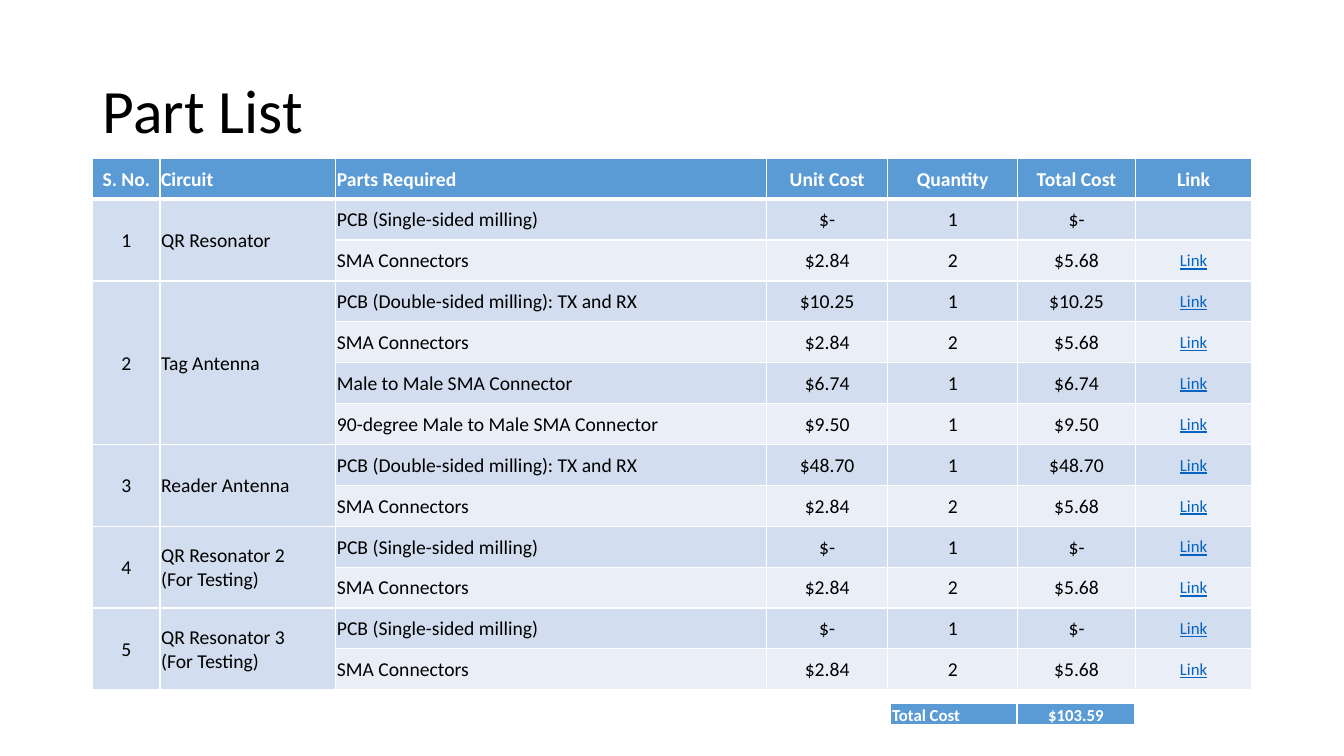
from dataclasses import dataclass

from lxml import etree
from pptx import Presentation
from pptx.dml.color import RGBColor
from pptx.enum.text import MSO_ANCHOR, PP_ALIGN
from pptx.oxml.ns import qn
from pptx.util import Cm, Pt

LEFT, CENTER = PP_ALIGN.LEFT, PP_ALIGN.CENTER
MIDDLE, BOTTOM = MSO_ANCHOR.MIDDLE, MSO_ANCHOR.BOTTOM

FONT = "Calibri"
BLACK, WHITE = "000000", "FFFFFF"
HEADER_FILL, LINK_COLOR = "5B9BD5", "0563C1"
DARK_BAND, LIGHT_BAND = "D2DEEF", "EAEFF7"

HEADINGS = ["S. No.", "Circuit", "Parts Required", "Unit Cost", "Quantity", "Total Cost", "Link"]
COLUMN_WIDTHS = [1.69, 4.43, 10.86, 3.05, 3.28, 2.96, 2.94]
ALIGNMENTS = [CENTER, LEFT, LEFT, CENTER, CENTER, CENTER, CENTER]
LINK_COLUMN = HEADINGS.index("Link")
HEADER_BORDERS = {"lnL": 1, "lnR": 1, "lnT": 1, "lnB": 3}
BODY_BORDERS = {"lnL": 1, "lnR": 1, "lnB": 1}


@dataclass
class Component:
    name: str
    unit_cost: float
    quantity: int
    link: str = "Link"

    @property
    def total_cost(self) -> float:
        return self.unit_cost * self.quantity


@dataclass
class Circuit:
    name: str
    components: list[Component]


SINGLE_SIDED = "PCB (Single-sided milling)"
DOUBLE_SIDED = "PCB (Double-sided milling): TX and RX"
CONNECTORS = Component("SMA Connectors", 2.84, 2)
CIRCUITS = [
    Circuit("QR Resonator", [Component(SINGLE_SIDED, 0, 1, ""), CONNECTORS]),
    Circuit("Tag Antenna", [
        Component(DOUBLE_SIDED, 10.25, 1),
        CONNECTORS,
        Component("Male to Male SMA Connector", 6.74, 1),
        Component("90-degree Male to Male SMA Connector", 9.50, 1),
    ]),
    Circuit("Reader Antenna", [Component(DOUBLE_SIDED, 48.70, 1), CONNECTORS]),
    Circuit("QR Resonator 2\v(For Testing)", [Component(SINGLE_SIDED, 0, 1), CONNECTORS]),
    Circuit("QR Resonator 3\v(For Testing)", [Component(SINGLE_SIDED, 0, 1), CONNECTORS]),
]


def color(value: str) -> RGBColor:
    return RGBColor.from_string(value)


def money(amount: float) -> str:
    return f"${amount:.2f}" if amount else "$-"


def write_text(text_frame, text: str, *, size: float = 14, text_color: str = BLACK,
               bold: bool = False, underline: bool = False, align=LEFT,
               line_spacing: float = 1.0) -> None:
    paragraph = text_frame.paragraphs[0]
    paragraph.text = text
    paragraph.alignment = align
    paragraph.line_spacing = line_spacing
    for run in paragraph.runs:
        font = run.font
        font.name = FONT
        font.size = Pt(size)
        font.bold = bold
        font.underline = underline
        font.color.rgb = color(text_color)


def style_cell(cell, fill: str, borders: dict[str, int], anchor=MIDDLE) -> None:
    cell.margin_left = cell.margin_right = cell.margin_top = Cm(0.03)
    cell.margin_bottom = 0
    cell.vertical_anchor = anchor
    properties = cell._tc.get_or_add_tcPr()
    for side, width in borders.items():
        line = etree.SubElement(properties, qn(f"a:{side}"), w=str(Pt(width)))
        line_fill = etree.SubElement(line, qn("a:solidFill"))
        etree.SubElement(line_fill, qn("a:srgbClr"), val=WHITE)
    cell.fill.solid()
    cell.fill.fore_color.rgb = color(fill)


def add_grid(slide, left: float, top: float, widths: list[float], row_count: int,
             row_height: float):
    table = slide.shapes.add_table(row_count, len(widths), Cm(left), Cm(top),
                                   Cm(sum(widths)), Cm(row_height * row_count)).table
    table.horz_banding = False
    for column, width in zip(table.columns, widths):
        column.width = Cm(width)
    for row in table.rows:
        row.height = Cm(row_height)
    return table


def add_title(slide) -> None:
    title = slide.shapes.add_textbox(Cm(2.34), Cm(1.02), Cm(29.21), Cm(3.68))
    title.text_frame.word_wrap = True
    title.text_frame.vertical_anchor = MIDDLE
    write_text(title.text_frame, "Part List", size=44, line_spacing=0.9)


def add_total_table(slide) -> None:
    total = sum(component.total_cost for circuit in CIRCUITS for component in circuit.components)
    table = add_grid(slide, 22.45, 17.73, [3.18, 2.97], 1, 0.56)
    entries = [("Total Cost", LEFT), (money(total), CENTER)]
    for cell, (text, align) in zip(table.rows[0].cells, entries):
        style_cell(cell, HEADER_FILL, HEADER_BORDERS, BOTTOM)
        write_text(cell.text_frame, text, size=12, text_color=WHITE, bold=True, align=align)


def add_component_table(slide) -> None:
    row_count = 1 + sum(len(circuit.components) for circuit in CIRCUITS)
    table = add_grid(slide, 2.34, 3.99, COLUMN_WIDTHS, row_count, 1.03)
    for cell, heading, align in zip(table.rows[0].cells, HEADINGS, ALIGNMENTS):
        style_cell(cell, HEADER_FILL, HEADER_BORDERS)
        write_text(cell.text_frame, heading, text_color=WHITE, bold=True, align=align)

    row = 1
    for number, circuit in enumerate(CIRCUITS, 1):
        first_row = row
        for component in circuit.components:
            band = DARK_BAND if row % 2 else LIGHT_BAND
            labels = [str(number), circuit.name] if row == first_row else ["", ""]
            values = labels + [component.name, money(component.unit_cost),
                               str(component.quantity), money(component.total_cost),
                               component.link]
            for column, value in enumerate(values):
                cell = table.cell(row, column)
                is_link = column == LINK_COLUMN
                style_cell(cell, DARK_BAND if column < 2 else band, BODY_BORDERS)
                write_text(cell.text_frame, value, size=12 if is_link else 14,
                           text_color=LINK_COLOR if is_link else BLACK,
                           underline=is_link, align=ALIGNMENTS[column])
            row += 1
        for column in range(2):
            table.cell(first_row, column).merge(table.cell(row - 1, column))


def main() -> None:
    presentation = Presentation()
    presentation.slide_width = Cm(33.87)
    presentation.slide_height = Cm(19.05)
    slide = presentation.slides.add_slide(presentation.slide_layouts[6])
    add_title(slide)
    add_total_table(slide)
    add_component_table(slide)
    presentation.save("out.pptx")


if __name__ == "__main__":
    main()
